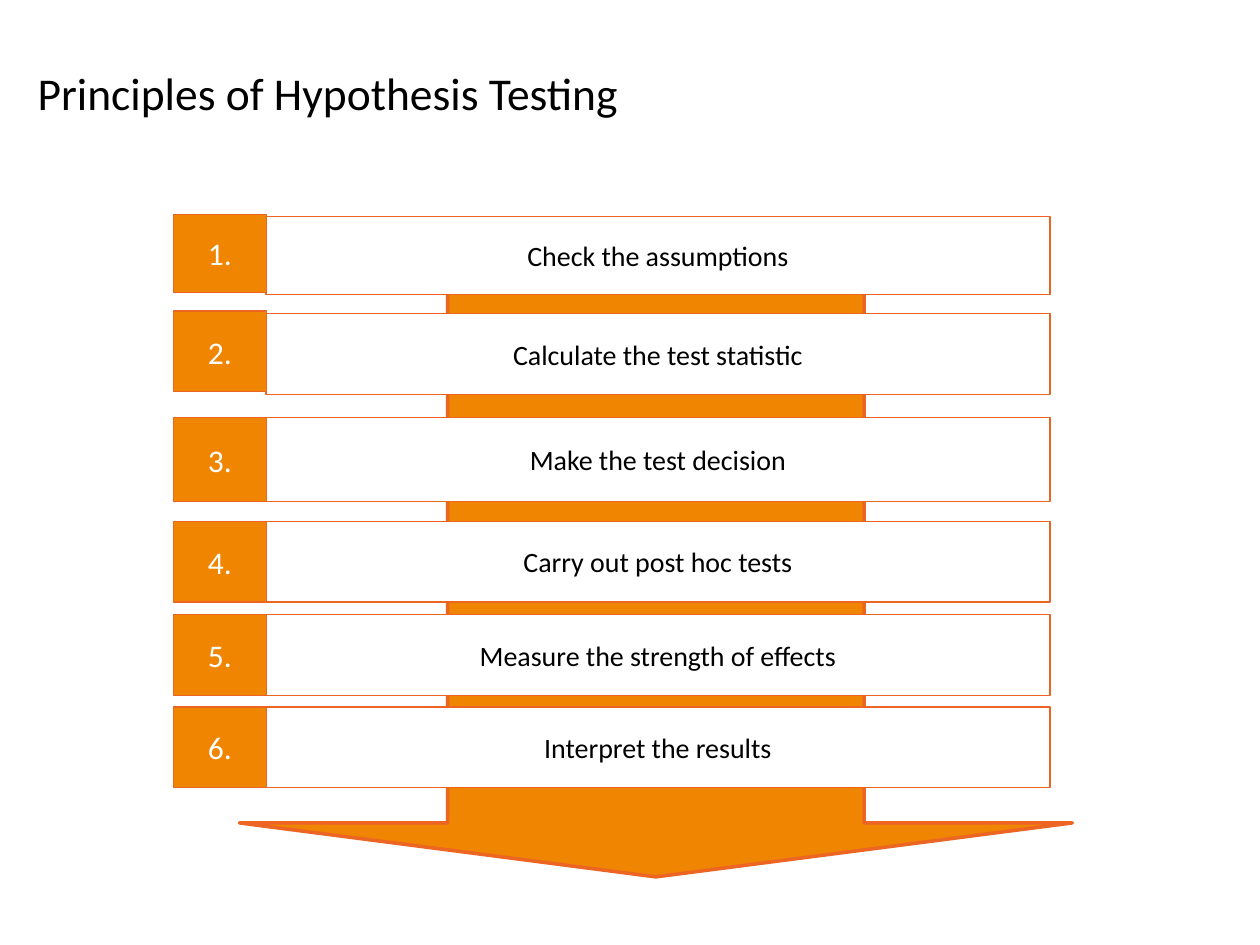
from pptx import Presentation
from pptx.dml.color import RGBColor
from pptx.enum.shapes import MSO_SHAPE as Shape
from pptx.enum.text import MSO_ANCHOR as Anchor, PP_ALIGN as Align
from pptx.util import Pt

ORANGE = RGBColor(0xEF, 0x85, 0x00)
BORDER = RGBColor(0xEC, 0x65, 0x23)
WHITE = RGBColor(0xFF, 0xFF, 0xFF)
BLACK = RGBColor(0x00, 0x00, 0x00)
FONT = "Calibri"

deck = Presentation()
deck.slide_width, deck.slide_height = Pt(720), Pt(540)
page = deck.slides.add_slide(deck.slide_layouts[6])


def add_filled(kind, left, top, width, height, fill, line_width):
    shape = page.shapes.add_shape(kind, Pt(left), Pt(top), Pt(width), Pt(height))
    shape.shadow.inherit = False
    shape.fill.solid()
    shape.fill.fore_color.rgb = fill
    shape.line.color.rgb = BORDER
    shape.line.width = Pt(line_width)
    return shape


def write(shape, text, size, color, align):
    frame = shape.text_frame
    frame.word_wrap = True
    frame.vertical_anchor = Anchor.MIDDLE
    para = frame.paragraphs[0]
    para.text = text
    para.alignment = align
    para.font.name = FONT
    para.font.size = Pt(size)
    para.font.color.rgb = color


# Title
title = page.shapes.add_textbox(Pt(14.4), Pt(8), Pt(692), Pt(90))
write(title, "Principles of Hypothesis Testing", 26, BLACK, Align.LEFT)

# Arrow behind the steps
arrow = add_filled(Shape.DOWN_ARROW, 136.8, 129.6, 476, 371.5, ORANGE, 2)
arrow.adjustments[0] = 0.5
arrow.adjustments[1] = 0.083

# Steps: text, number top, text top, height
steps = [
    ("Check the assumptions", 122.4, 123.8, 44.6),
    ("Calculate the test statistic", 177.8, 179.3, 46),
    ("Make the test decision", 238.5, 238.5, 48),
    ("Carry out post hoc tests", 298, 298, 46),
    ("Measure the strength of effects", 351.3, 351.3, 46),
    ("Interpret the results", 404, 404, 46),
]
for number, (text, number_top, text_top, height) in enumerate(steps, 1):
    box = add_filled(Shape.RECTANGLE, 152, text_top, 448, height, WHITE, 0.75)
    write(box, text, 16, BLACK, Align.CENTER)
    box = add_filled(Shape.RECTANGLE, 99.2, number_top, 53, height, ORANGE, 0.75)
    write(box, f"{number}.", 18, WHITE, Align.CENTER)

deck.save("out.pptx")
